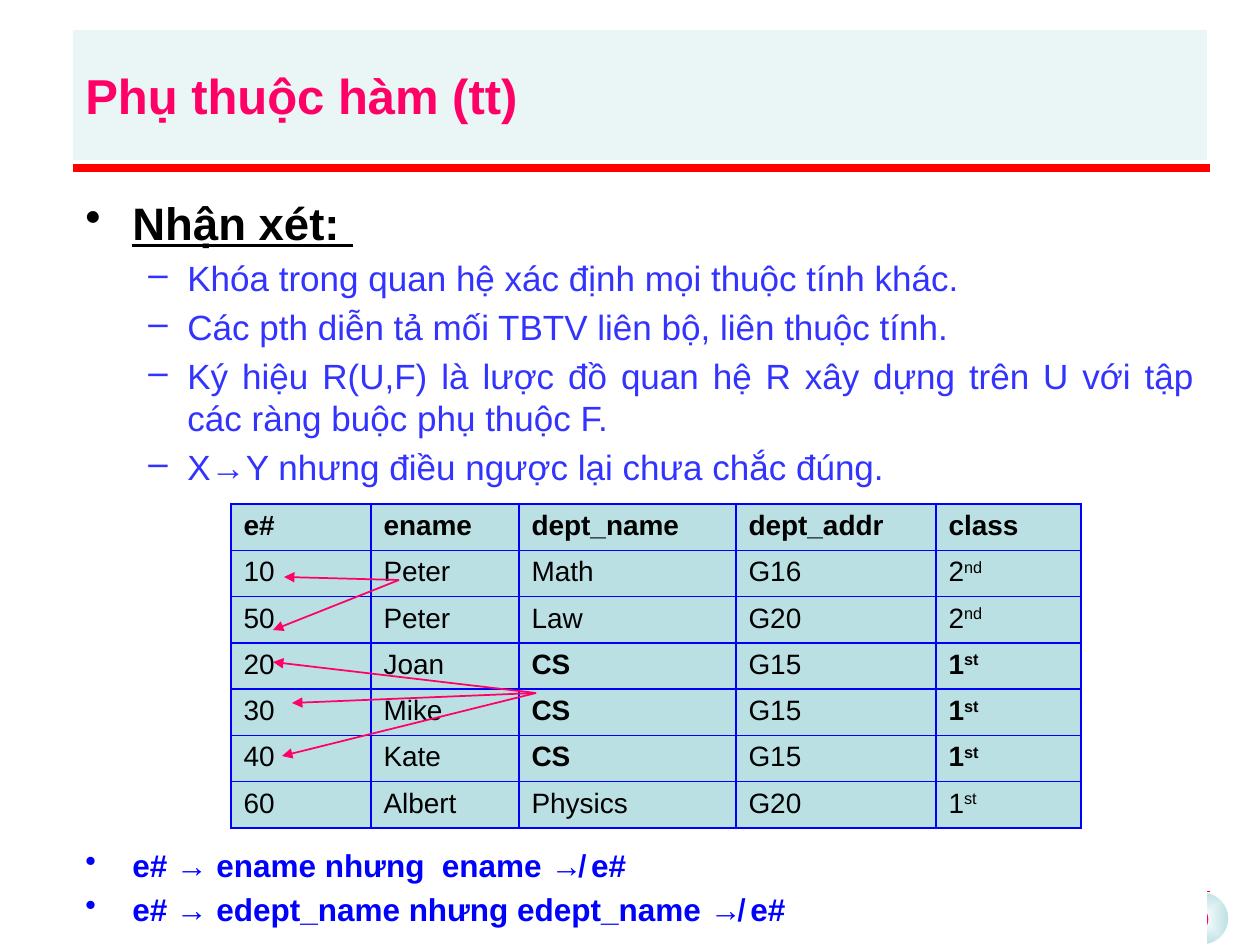
from dataclasses import dataclass

from lxml import etree
from pptx import Presentation
from pptx.dml.color import RGBColor
from pptx.enum.shapes import MSO_CONNECTOR, MSO_SHAPE
from pptx.enum.text import MSO_ANCHOR, PP_ALIGN
from pptx.oxml.ns import qn
from pptx.util import Emu, Pt

RECT, OVAL = MSO_SHAPE.RECTANGLE, MSO_SHAPE.OVAL
STRAIGHT = MSO_CONNECTOR.STRAIGHT
TOP, MIDDLE = MSO_ANCHOR.TOP, MSO_ANCHOR.MIDDLE
LEFT, CENTER, JUSTIFY = PP_ALIGN.LEFT, PP_ALIGN.CENTER, PP_ALIGN.JUSTIFY
SCALE = 914400 / 126


@dataclass(frozen=True)
class Theme:
    font: str = "Arial"
    white: str = "FFFFFF"
    black: str = "000000"
    pink: str = "FF0066"
    red: str = "FF0000"
    teal: str = "BBE0E3"
    violet: str = "3333FF"
    blue: str = "0000FF"
    title: int = 28
    head: int = 26
    point: int = 20
    note: int = 18
    cell: int = 16
    page: int = 14


THEME = Theme()

POINTS = [
    "Khóa trong quan hệ xác định mọi thuộc tính khác.",
    "Các pth diễn tả mối TBTV liên bộ, liên thuộc tính.",
    "Ký hiệu R(U,F) là lược đồ quan hệ R xây dựng trên U với tập các ràng buộc phụ thuộc F.",
    "X→Y nhưng điều ngược lại chưa chắc đúng.",
]
NOTES = [
    "e# → ename nhưng  ename ↛ e#",
    "e# → edept_name nhưng edept_name ↛ e#",
]
HEADS = ["e#", "ename", "dept_name", "dept_addr", "class"]
ROWS = [
    ["10", "Peter", "Math", "G16", ("2", "nd")],
    ["50", "Peter", "Law", "G20", ("2", "nd")],
    ["20", "Joan", "CS", "G15", ("1", "st")],
    ["30", "Mike", "CS", "G15", ("1", "st")],
    ["40", "Kate", "CS", "G15", ("1", "st")],
    ["60", "Albert", "Physics", "G20", ("1", "st")],
]
WIDTHS = [140, 148, 217, 200, 145]
FANS = [
    ((399, 580), [(284, 577), (273, 630)]),
    ((536, 693), [(273, 662), (292, 703), (282, 756)]),
]


def px(*values):
    return [Emu(round(value * SCALE)) for value in values]


def rgb(color):
    return RGBColor.from_string(color)


def add_run(para, text, size, color, bold=False, under=False, raised=False):
    run = para.add_run()
    run.text = text
    font = run.font
    font.name, font.size, font.bold = THEME.font, Pt(size), bold
    font.color.rgb = rgb(color)
    if under:
        font.underline = True
    if raised:
        run._r.get_or_add_rPr().set("baseline", "30000")


def add_item(frame, mark, indent, hang, text, size, color, **style):
    """Add a justified bullet; indent and hang are in px."""
    first = frame.paragraphs[0]
    para = frame.add_paragraph() if first.runs else first
    para.alignment = JUSTIFY
    para.space_before = Pt(0.2 * size)
    props = para._p.get_or_add_pPr()
    margin, offset = px(indent, -hang)
    props.set("marL", str(margin))
    props.set("indent", str(offset))
    etree.SubElement(props, qn("a:buChar"), char=mark)
    add_run(para, text, size, color, **style)


def add_box(slide, kind, box, fill=None, anchor=TOP):
    shape = slide.shapes.add_shape(kind, *px(*box))
    shape.shadow.inherit = False
    shape.line.fill.background()
    if fill:
        shape.fill.solid()
        shape.fill.fore_color.rgb = rgb(fill)
    else:
        shape.fill.background()
    frame = shape.text_frame
    frame.word_wrap, frame.vertical_anchor = True, anchor
    return shape


def add_line(shapes, start, end, color, width, arrow=False):
    line = shapes.add_connector(STRAIGHT, *px(*start, *end))
    line.line.color.rgb = rgb(color)
    line.line.width = Pt(width)
    props = line._element.spPr
    etree.SubElement(props, qn("a:effectLst"))
    if arrow:
        etree.SubElement(props.find(qn("a:ln")), qn("a:tailEnd"), type="triangle")


def add_badge(slide):
    """Draw the page number on a disc with a radial gradient."""
    disc = add_box(slide, OVAL, (1176, 892, 53, 53), anchor=MIDDLE)
    disc.line.color.rgb = rgb(THEME.white)
    disc.line.width = Pt(0.75)
    disc.fill.gradient()
    for stop, color in zip(disc.fill.gradient_stops, (THEME.white, THEME.teal)):
        stop.color.rgb = rgb(color)
    grad = disc._element.spPr.find(qn("a:gradFill"))
    grad.remove(grad.find(qn("a:lin")))
    radial = etree.SubElement(grad, qn("a:path"), {"path": "shape"})
    etree.SubElement(radial, qn("a:fillToRect"), dict.fromkeys("ltrb", "50000"))
    disc.text_frame.word_wrap = False
    para = disc.text_frame.paragraphs[0]
    para.alignment = CENTER
    add_run(para, "9", THEME.page, THEME.pink, bold=True)


def add_title(slide):
    band = add_box(slide, RECT, (73, 30, 1134, 130), THEME.teal, MIDDLE)
    tint = band._element.spPr.find(qn("a:solidFill"))[0]
    etree.SubElement(tint, qn("a:alpha"), val="30000")
    para = band.text_frame.paragraphs[0]
    para.alignment = LEFT
    add_run(para, "Phụ thuộc hàm (tt)", THEME.title, THEME.pink, bold=True)


def add_body(slide):
    frame = add_box(slide, RECT, (73, 189, 1134, 756), THEME.white).text_frame
    add_item(frame, "•", 47, 47, "Nhận xét: ", THEME.head, THEME.black,
             bold=True, under=True)
    for text in POINTS:
        add_item(frame, "–", 102, 39, text, THEME.point, THEME.violet)


def add_notes(slide):
    frame = slide.shapes.add_textbox(*px(73, 840, 1134, 73)).text_frame
    frame.word_wrap = True
    for text in NOTES:
        add_item(frame, "•", 47, 47, text, THEME.note, THEME.blue, bold=True)


def fill_cell(cell, value, bold):
    props = cell._tc.get_or_add_tcPr()
    for side in ("lnL", "lnR", "lnT", "lnB"):
        edge = etree.SubElement(props, qn(f"a:{side}"), w=str(Pt(1)))
        paint = etree.SubElement(edge, qn("a:solidFill"))
        etree.SubElement(paint, qn("a:srgbClr"), val=THEME.blue)
    cell.fill.solid()
    cell.fill.fore_color.rgb = rgb(THEME.teal)
    para = cell.text_frame.paragraphs[0]
    para.alignment = JUSTIFY
    parts = (value,) if isinstance(value, str) else value
    for i, text in enumerate(parts):
        add_run(para, text, THEME.cell, THEME.black, bold=bold, raised=i > 0)


def add_grid(slide):
    rows = [HEADS] + ROWS
    box = px(231, 504, sum(WIDTHS), 324)
    table = slide.shapes.add_table(len(rows), len(HEADS), *box).table
    table.first_row = table.horz_banding = False
    for column, width in zip(table.columns, px(*WIDTHS)):
        column.width = width
    for r, row in enumerate(rows):
        for c, value in enumerate(row):
            bold = r == 0 or (row[2] == "CS" and c in (2, 4))
            fill_cell(table.cell(r, c), value, bold)


def add_fan(slide, start, ends):
    """Group the arrows that leave one point."""
    group = slide.shapes.add_group_shape()
    for end in ends:
        add_line(group.shapes, start, end, THEME.pink, 1, arrow=True)


def main():
    deck = Presentation()
    deck.slide_width, deck.slide_height = px(1260, 945)
    slide = deck.slides.add_slide(deck.slide_layouts[6])
    add_badge(slide)
    for y, width in ((891, 0.25), (168, 4.5)):
        add_line(slide.shapes, (73, y), (1210, y), THEME.red, width)
    add_title(slide)
    add_body(slide)
    add_notes(slide)
    add_grid(slide)
    for start, ends in FANS:
        add_fan(slide, start, ends)
    deck.save("out.pptx")


if __name__ == "__main__":
    main()
